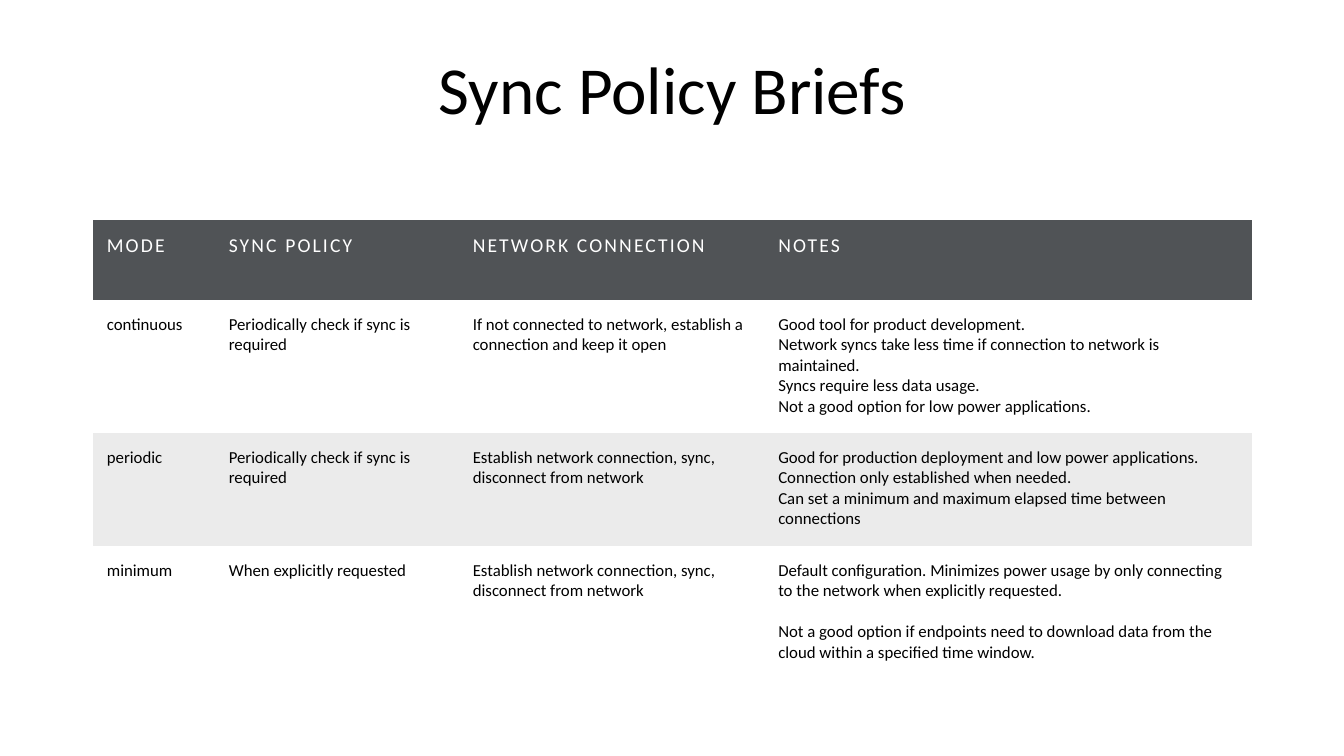
from dataclasses import dataclass

from pptx import Presentation
from pptx.dml.color import RGBColor
from pptx.enum.text import MSO_ANCHOR, PP_ALIGN
from pptx.util import Inches, Pt


@dataclass(frozen=True)
class Theme:
    font: str = "Calibri"
    black: str = "000000"
    white: str = "FFFFFF"
    header_fill: str = "505356"
    band_fill: str = "EBEBEB"
    title_size: int = 48
    header_size: int = 14
    body_size: int = 12
    header_tracking: float = 1.5
    paragraph_gap: float = 14.6
    cell_margin: float = 0.14
    plain_table_style: str = "{2D5ABB26-0587-4C30-8999-92F81FD0307C}"


HEADERS = ["MODE", "SYNC POLICY", "NETWORK CONNECTION", "NOTES"]
PERIODIC_CHECK = "Periodically check if sync is required"
CONNECT_AND_DROP = "Establish network connection, sync, disconnect from network"
POLICIES = [
    [
        "continuous",
        PERIODIC_CHECK,
        "If not connected to network, establish a connection and keep it open",
        "Good tool for product development.\n"
        "Network syncs take less time if connection to network is maintained.\n"
        "Syncs require less data usage.\n"
        "Not a good option for low power applications.",
    ],
    [
        "periodic",
        PERIODIC_CHECK,
        CONNECT_AND_DROP,
        "Good for production deployment and low power applications.\n"
        "Connection only established when needed.\n"
        "Can set a minimum and maximum elapsed time between connections",
    ],
    [
        "minimum",
        "When explicitly requested",
        CONNECT_AND_DROP,
        "Default configuration. Minimizes power usage by only connecting "
        "to the network when explicitly requested.\n"
        "Not a good option if endpoints need to download data from the "
        "cloud within a specified time window.",
    ],
]
COLUMN_WIDTHS = [1.21, 2.42, 3.03, 4.84]
ROW_HEIGHTS = [0.8, 1.32, 1.12, 1.32]


def write_text(frame, text, *, font, size, color, align=PP_ALIGN.LEFT,
               line_spacing=1.0, tracking=0, gap=0):
    frame.word_wrap = True
    for index, line in enumerate(text.split("\n")):
        paragraph = frame.add_paragraph() if index else frame.paragraphs[0]
        paragraph.alignment = align
        paragraph.line_spacing = line_spacing
        paragraph.space_before = Pt(gap if index else 0)
        run = paragraph.add_run()
        run.text = line
        run.font.name = font
        run.font.size = Pt(size)
        run.font.color.rgb = RGBColor.from_string(color)
        if tracking:
            run._r.get_or_add_rPr().set("spc", str(int(tracking * 100)))


class SlideBuilder:
    def __init__(self, slide, theme):
        self.slide = slide
        self.theme = theme

    def title(self, text, left, top, width, height):
        box = self.slide.shapes.add_textbox(
            Inches(left), Inches(top), Inches(width), Inches(height))
        box.text_frame.vertical_anchor = MSO_ANCHOR.BOTTOM
        write_text(box.text_frame, text, font=self.theme.font,
                   size=self.theme.title_size, color=self.theme.black,
                   align=PP_ALIGN.CENTER, line_spacing=0.9)

    def cell(self, cell, text, fill=None, **text_format):
        margin = Inches(self.theme.cell_margin)
        cell.margin_left = cell.margin_right = margin
        cell.margin_top = cell.margin_bottom = margin
        if fill:
            cell.fill.solid()
            cell.fill.fore_color.rgb = RGBColor.from_string(fill)
        else:
            cell.fill.background()
        write_text(cell.text_frame, text, font=self.theme.font, **text_format)

    def table(self, headers, rows, left, top, column_widths, row_heights):
        theme = self.theme
        frame = self.slide.shapes.add_table(
            len(row_heights), len(column_widths), Inches(left), Inches(top),
            Inches(sum(column_widths)), Inches(sum(row_heights)))
        table = frame.table
        table.horz_banding = False
        table._tbl.tblPr[0].text = theme.plain_table_style
        for column, width in zip(table.columns, column_widths):
            column.width = Inches(width)
        for row, height in zip(table.rows, row_heights):
            row.height = Inches(height)
        for column, header in enumerate(headers):
            self.cell(table.cell(0, column), header, theme.header_fill,
                      size=theme.header_size, color=theme.white,
                      tracking=theme.header_tracking)
        for row, texts in enumerate(rows, start=1):
            fill = theme.band_fill if row % 2 == 0 else None
            gap = theme.paragraph_gap if row == len(rows) else 0
            for column, text in enumerate(texts):
                self.cell(table.cell(row, column), text, fill,
                          size=theme.body_size, color=theme.black, gap=gap)


def main():
    presentation = Presentation()
    presentation.slide_width = Inches(13.33)
    presentation.slide_height = Inches(7.5)
    slide = presentation.slides.add_slide(presentation.slide_layouts[6])
    builder = SlideBuilder(slide, Theme())
    builder.title("Sync Policy Briefs", 0.92, 0.31, 11.5, 1.02)
    builder.table(HEADERS, POLICIES, 0.92, 2.18, COLUMN_WIDTHS, ROW_HEIGHTS)
    presentation.save("out.pptx")


if __name__ == "__main__":
    main()
